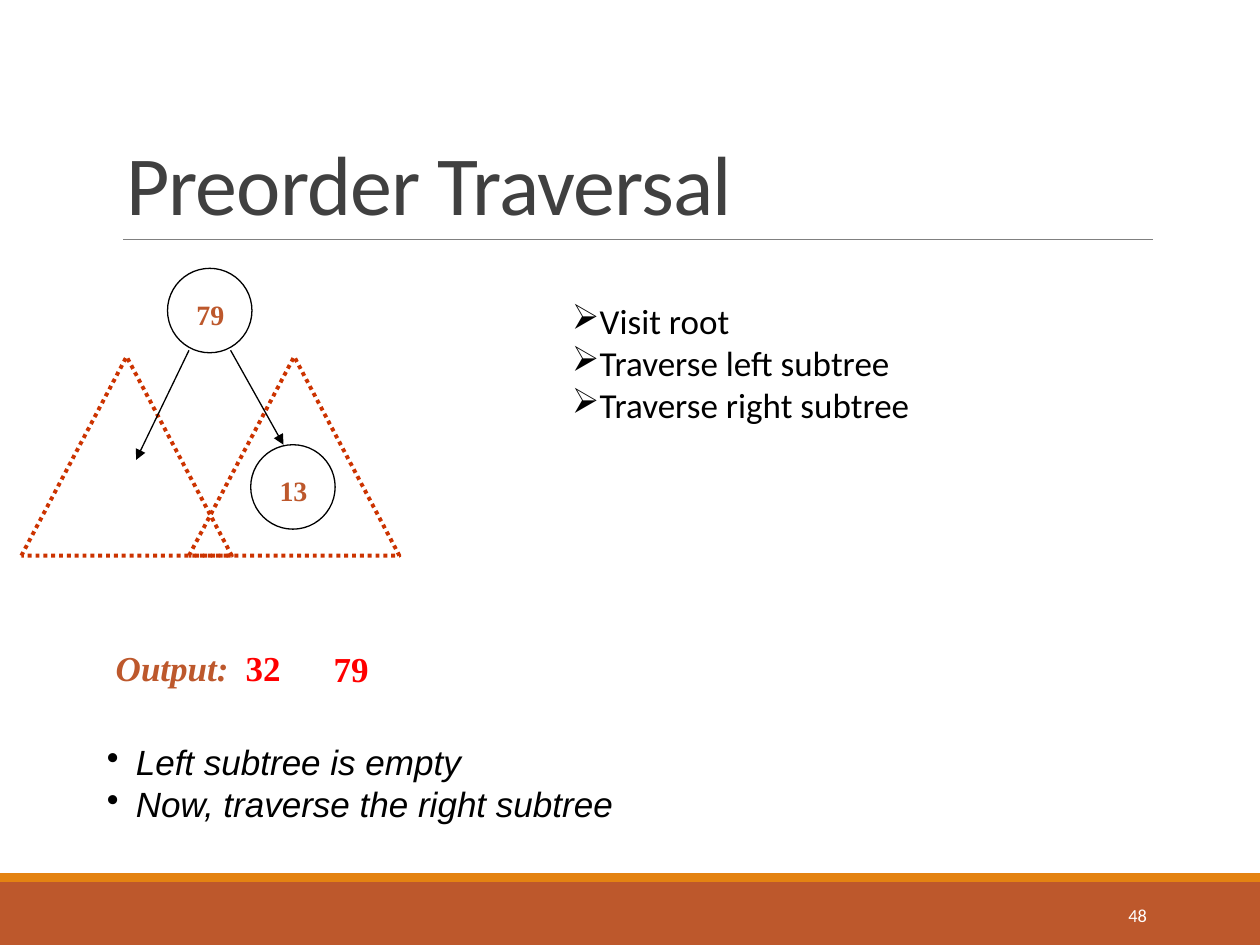
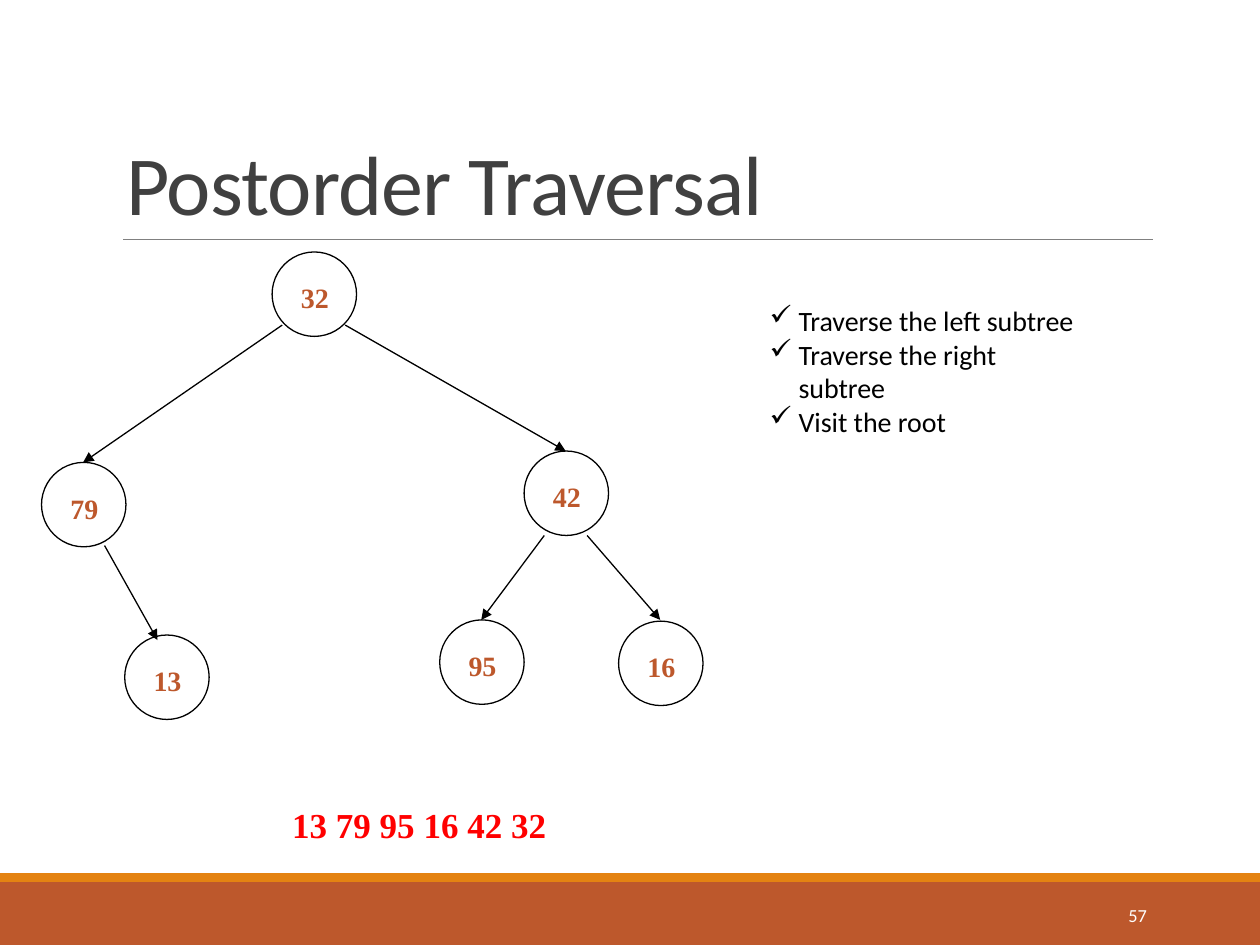
from lxml import etree
from pptx import Presentation
from pptx.dml.color import RGBColor
from pptx.enum.dml import MSO_LINE_DASH_STYLE as Dash
from pptx.enum.shapes import MSO_CONNECTOR as Connector, MSO_SHAPE as Shape
from pptx.enum.text import MSO_ANCHOR as Anchor, MSO_AUTO_SIZE as AutoSize, PP_ALIGN as Align
from pptx.oxml.ns import qn
from pptx.util import Inches, Pt

RUST = RGBColor(0xBD, 0x58, 0x2C)
ORANGE = RGBColor(0xE4, 0x83, 0x12)
GREY = RGBColor(0x80, 0x80, 0x80)
CHARCOAL = RGBColor(0x40, 0x40, 0x40)
BLACK = RGBColor(0, 0, 0)
WHITE = RGBColor(0xFF, 0xFF, 0xFF)
RED = RGBColor(0xFF, 0, 0)
SUBTREE_RED = RGBColor(0xCC, 0x33, 0)

SANS, SERIF, ARIAL = "Calibri", "Times New Roman", "Arial"
NODE = 0.67
HANGING = 0.23


def set_font(font, name, size, color, bold=False, italic=False):
    font.name, font.size, font.bold, font.italic = name, Pt(size), bold, italic
    font.color.rgb = color


def add_text(slide, box, text, *font, wrap=True):
    """Add a one-paragraph text box at box and return its frame."""
    frame = slide.shapes.add_textbox(*map(Inches, box)).text_frame
    frame.word_wrap = wrap
    paragraph = frame.paragraphs[0]
    paragraph.text = text
    set_font(paragraph.font, *font)
    return frame


def add_bullets(slide, box, mark, items, hanging, *font):
    frame = slide.shapes.add_textbox(*map(Inches, box)).text_frame
    frame.word_wrap = True
    for index, item in enumerate(items):
        paragraph = frame.add_paragraph() if index else frame.paragraphs[0]
        paragraph.text = item
        properties = paragraph._p.get_or_add_pPr()
        properties.set("marL", str(Inches(hanging)))
        properties.set("indent", str(-Inches(hanging)))
        etree.SubElement(properties, qn("a:buChar")).set("char", mark)
        set_font(paragraph.font, *font)


def add_line(slide, start, end, color, width):
    line = slide.shapes.add_connector(Connector.STRAIGHT, *map(Inches, (*start, *end)))
    line.line.color.rgb = color
    line.line.width = Pt(width)
    etree.SubElement(line._element.spPr, qn("a:effectLst"))
    return line


def add_arrow(slide, start, end):
    arrow = add_line(slide, start, end, BLACK, 0.75)
    outline = arrow.line._get_or_add_ln()
    etree.SubElement(outline, qn("a:tailEnd")).set("type", "triangle")


def add_outline(slide, kind, box, color, width):
    shape = slide.shapes.add_shape(kind, *map(Inches, box))
    shape.shadow.inherit = False
    shape.fill.background()
    shape.line.color.rgb = color
    shape.line.width = Pt(width)
    return shape


def add_node(slide, left, top, value):
    add_outline(slide, Shape.OVAL, (left, top, NODE, NODE), BLACK, 0.75)
    add_text(slide, (left + 0.13, top + 0.18, 0.42, 0.37), value,
             SERIF, 16, RUST, True, wrap=False)


def add_band(slide, top, height, color):
    band = slide.shapes.add_shape(Shape.RECTANGLE, 0, Inches(top), Inches(10), Inches(height))
    band.shadow.inherit = False
    band.fill.solid()
    band.fill.fore_color.rgb = color
    band.line.fill.background()


def add_titled_slide(deck, heading, number):
    """Add a slide with the shared title, rule, bottom bands and page number."""
    slide = deck.slides.add_slide(deck.slide_layouts[5])
    add_band(slide, 7, 0.5, RUST)
    add_band(slide, 6.93, 0.07, ORANGE)
    add_line(slide, (0.98, 1.9), (9.15, 1.9), GREY, 0.5)

    title = slide.shapes.title
    title.left, title.top, title.width, title.height = map(Inches, (0.9, 0.31, 8.25, 1.59))
    frame = title.text_frame
    frame.text = heading
    frame.vertical_anchor = Anchor.BOTTOM
    frame.auto_size = AutoSize.NONE
    paragraph = frame.paragraphs[0]
    paragraph.alignment = Align.LEFT
    paragraph.line_spacing = 0.85
    set_font(paragraph.font, SANS, 48, CHARCOAL)
    paragraph.runs[0]._r.get_or_add_rPr().set("spc", "-50")

    page = add_text(slide, (8.12, 7.06, 1.08, 0.4), number, SANS, 10.5, WHITE)
    page.vertical_anchor = Anchor.MIDDLE
    page.paragraphs[0].alignment = Align.RIGHT
    return slide


def add_subtree_diagram(slide, left, top):
    """Draw a root with an empty left subtree and one right child."""
    add_node(slide, left + 1.16, top, "79")
    add_node(slide, left + 1.82, top + 1.4, "13")
    for offset in (1.33, 0):
        subtree = add_outline(slide, Shape.FLOWCHART_EXTRACT,
                              (left + offset, top + 0.7, 1.67, 1.58), SUBTREE_RED, 2.25)
        subtree.line.dash_style = Dash.ROUND_DOT
    add_arrow(slide, (left + 1.66, top + 0.65), (left + 2.08, top + 1.4))
    add_arrow(slide, (left + 1.33, top + 0.65), (left + 0.91, top + 1.52))


def add_full_tree(slide, left, top):
    nodes = {"32": (1.83, 0), "79": (0, 1.67), "42": (3.83, 1.58),
             "13": (0.66, 3.04), "95": (3.16, 2.92), "16": (4.58, 2.93)}
    edges = [((1.91, 0.58), (0.33, 1.67)), ((2.41, 0.58), (4.16, 1.58)),
             ((0.5, 2.33), (0.92, 3.08)), ((3.99, 2.25), (3.49, 2.92)),
             ((4.33, 2.25), (4.91, 2.92))]
    for value, (x, y) in nodes.items():
        add_node(slide, left + x, top + y, value)
    for (x1, y1), (x2, y2) in edges:
        add_arrow(slide, (left + x1, top + y1), (left + x2, top + y2))


def add_output(slide, left, top):
    """Write the output label and the values visited so far."""
    label = add_text(slide, (left, top, 1.78, 0.5), "Output:\t",
                     SERIF, 20, RUST, True, True).paragraphs[0]
    first = label.add_run()
    first.text = "32"
    first.font.italic = False
    first.font.color.rgb = RED
    properties = label._p.get_or_add_pPr()
    tabs = etree.Element(qn("a:tabLst"))
    etree.SubElement(tabs, qn("a:tab"), pos=str(Inches(1.03)), algn="l")
    properties.insert(0, tabs)
    add_text(slide, (left + 1.73, top + 0.01, 0.53, 0.5), "79", SERIF, 20, RED, True)


def build_preorder(deck):
    slide = add_titled_slide(deck, "Preorder Traversal", "48")
    add_subtree_diagram(slide, 0.17, 2.13)
    add_bullets(slide, (4.44, 2.33, 3.44, 1.72), "➢",
                ["Visit root", "Traverse left subtree", "Traverse right subtree"],
                0, SANS, 20, BLACK)
    add_output(slide, 0.82, 5.08)
    add_bullets(slide, (0.75, 5.83, 4.9, 0.91), "•",
                ["Left subtree is empty", "Now, traverse the right subtree"],
                HANGING, ARIAL, 20, BLACK, False, True)


def build_postorder(deck):
    slide = add_titled_slide(deck, "Postorder Traversal", "57")
    add_full_tree(slide, 0.33, 2)
    add_bullets(slide, (6.01, 2.36, 2.7, 0.91), "✓",
                ["Traverse the left subtree", "Traverse the right subtree", "Visit the root"],
                HANGING, SANS, 16, BLACK)
    add_text(slide, (2.22, 6.33, 2.62, 0.5), "13 79 95 16 42 32", SERIF, 20, RED, True)


def main():
    deck = Presentation()
    deck.slide_width, deck.slide_height = Inches(10), Inches(7.5)
    build_preorder(deck)
    build_postorder(deck)
    deck.save("out.pptx")


if __name__ == "__main__":
    main()
